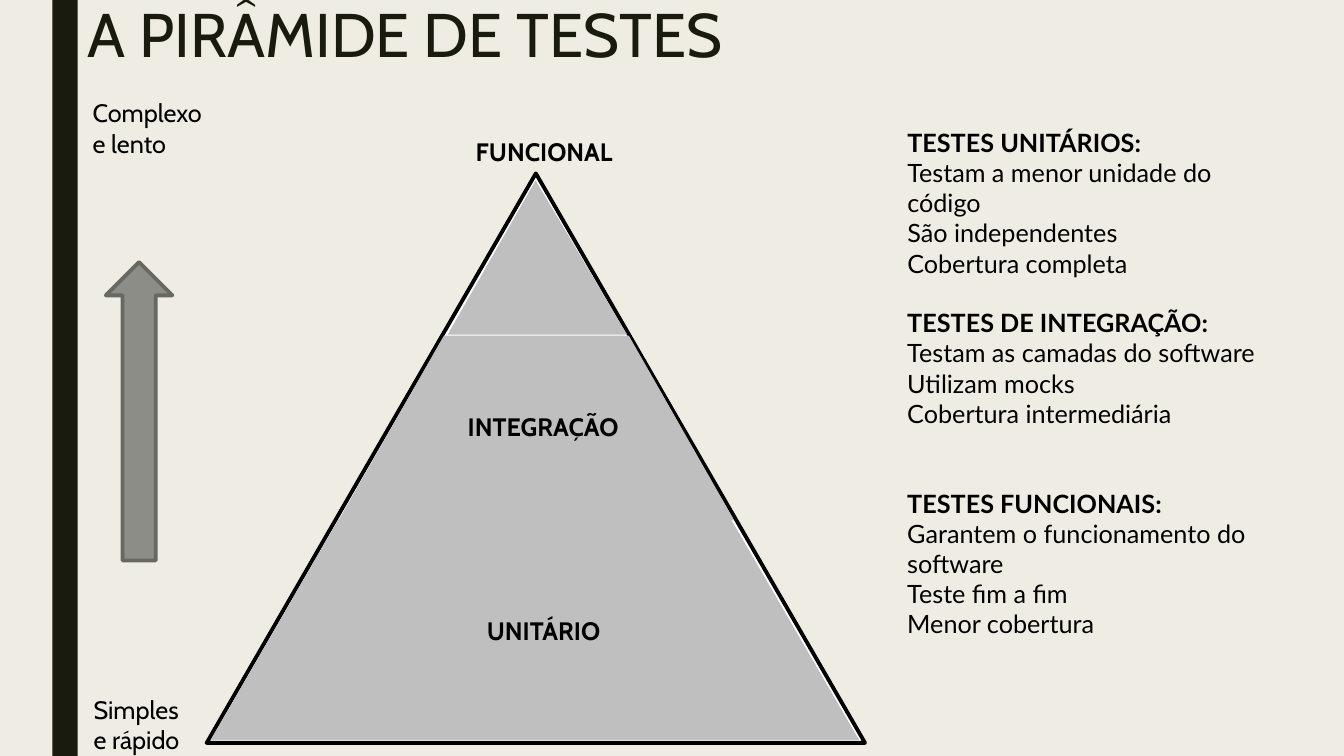
from dataclasses import dataclass

import pptx
import pptx.dml.color
import pptx.enum.shapes
import pptx.enum.text
import pptx.util

Inches = pptx.util.Inches
Pt = pptx.util.Pt
Kind = pptx.enum.shapes.MSO_SHAPE
Box = tuple[float, float, float, float]

COLORS = {
    "paper": "EFEDE3",
    "dark": "191B0E",
    "black": "000000",
    "white": "FFFFFF",
    "level": "BFBFBF",
    "arrow": "8C8D86",
    "edge": "686863",
}


@dataclass
class Form:
    kind: Kind
    box: Box
    fill: str
    line: str | None = None
    adjust: float | None = None
    turn: float = 0


@dataclass
class Label:
    """Lines of text; the first `bold` lines are set in bold."""
    box: Box
    lines: list[str]
    font: str = "Cabin"
    bold: int = 0
    wrap: bool = False


NOTES = [
    (3.95, ["TESTES UNITÁRIOS:", "Testam a menor unidade do código",
            "São independentes", "Cobertura completa"]),
    (3.73, ["TESTES DE INTEGRAÇÃO:", "Testam as camadas do software",
            "Utilizam mocks", "Cobertura intermediária"]),
    (4.43, ["TESTES FUNCIONAIS:", "Garantem o funcionamento do software",
            "Teste fim a fim", "Menor cobertura"]),
]
BAR = Form(Kind.RECTANGLE, (0.52, 0, 0.25, 7.5), "dark")
FORMS = [
    Form(Kind.ISOSCELES_TRIANGLE, (2.05, 1.72, 6.53, 5.65), "white", "black", 0.5),
    Form(Kind.RIGHT_ARROW, (-0.1, 3.75, 2.96, 0.66), "arrow", "edge", turn=270),
    Form(Kind.TRAPEZOID, (2.09, 5.15, 6.43, 2.19), "level", adjust=0.58),
    Form(Kind.TRAPEZOID, (3.36, 3.33, 3.92, 1.83), "level", adjust=0.57),
    Form(Kind.ISOSCELES_TRIANGLE, (4.44, 1.79, 1.78, 1.53), "level", adjust=0.49),
]
LABELS = [
    Label((0.83, 6.84, 1.13, 0.71), ["Simples", "e rápido"]),
    Label((0.82, 0.92, 1.31, 0.71), ["Complexo", "e lento"]),
    Label((4.73, 6.06, 1.33, 0.4), ["UNITÁRIO"], bold=1),
    Label((4.54, 4.03, 1.71, 0.4), ["INTEGRAÇÃO"], bold=1),
    Label((4.62, 1.3, 1.56, 0.4), ["FUNCIONAL"], bold=1),
] + [
    Label((8.9, 1.21 + 1.79 * row, width, 1.31), lines, "Lato", 1, True)
    for row, (width, lines) in enumerate(NOTES)
]


def color(name: str) -> pptx.dml.color.RGBColor:
    return pptx.dml.color.RGBColor.from_string(COLORS[name])


def place(box: Box) -> list[int]:
    return [Inches(side) for side in box]


def write(para, text: str, font: str, size: int, tint: str, bold: bool = False) -> None:
    run = para.add_run()
    run.text = text
    run.font.name = font
    run.font.size = Pt(size)
    run.font.bold = bold
    run.font.color.rgb = color(tint)


def draw_form(slide, form: Form) -> None:
    shape = slide.shapes.add_shape(form.kind, *place(form.box))
    shape.shadow.inherit = False
    shape.rotation = form.turn
    shape.fill.solid()
    shape.fill.fore_color.rgb = color(form.fill)
    if form.adjust is not None:
        shape.adjustments[0] = form.adjust
    if form.line:
        shape.line.color.rgb = color(form.line)
        shape.line.width = Pt(2.75)
    else:
        shape.line.fill.background()


def draw_label(slide, label: Label) -> None:
    frame = slide.shapes.add_textbox(*place(label.box)).text_frame
    frame.word_wrap = label.wrap
    frame.auto_size = pptx.enum.text.MSO_AUTO_SIZE.SHAPE_TO_FIT_TEXT
    for row, line in enumerate(label.lines):
        para = frame.add_paragraph() if row else frame.paragraphs[0]
        write(para, line, label.font, 18, "black", row < label.bold)


def draw_title(slide, text: str) -> None:
    title = slide.shapes.title
    title.left, title.top, title.width, title.height = place((0.77, 0, 12.56, 0.82))
    frame = title.text_frame
    frame.auto_size = pptx.enum.text.MSO_AUTO_SIZE.NONE
    frame.vertical_anchor = pptx.enum.text.MSO_ANCHOR.TOP
    para = frame.paragraphs[0]
    para.alignment = pptx.enum.text.PP_ALIGN.LEFT
    para.line_spacing = 0.89
    write(para, text, "Cabin", 44, "dark")


def main() -> None:
    deck = pptx.Presentation()
    deck.slide_width, deck.slide_height = Inches(13.33), Inches(7.5)
    slide = deck.slides.add_slide(deck.slide_layouts.get_by_name("Title Only"))
    slide.background.fill.solid()
    slide.background.fill.fore_color.rgb = color("paper")
    draw_title(slide, "A PIRÂMIDE DE TESTES")
    for form in [BAR, *FORMS]:
        draw_form(slide, form)
    for label in LABELS:
        draw_label(slide, label)
    deck.save("out.pptx")


if __name__ == "__main__":
    main()
